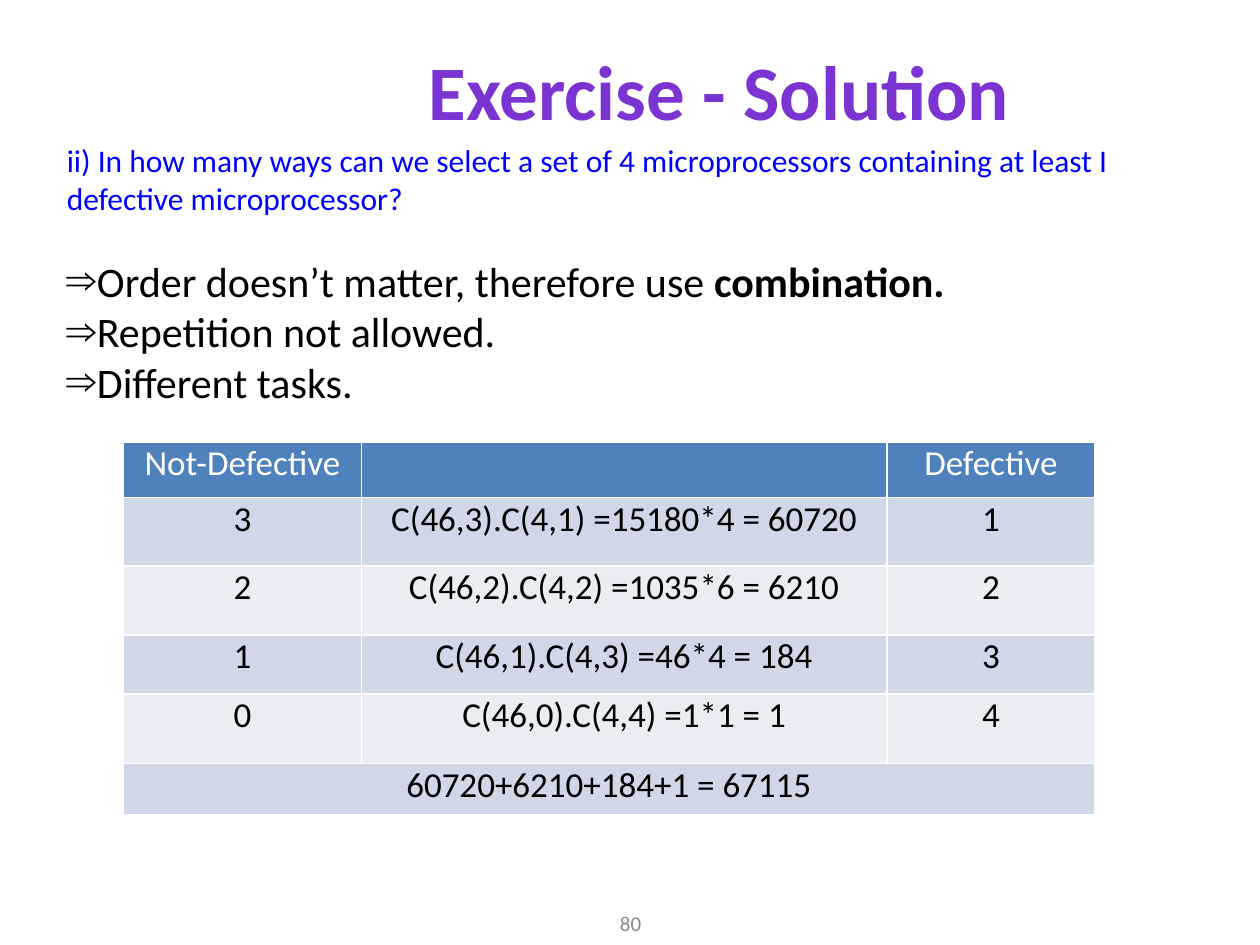
import lxml.etree
import pptx
import pptx.dml.color
import pptx.enum.text
import pptx.oxml.ns
import pptx.util

Inches = pptx.util.Inches
Pt = pptx.util.Pt
RGBColor = pptx.dml.color.RGBColor
PP_ALIGN = pptx.enum.text.PP_ALIGN
MSO_ANCHOR = pptx.enum.text.MSO_ANCHOR
MSO_AUTO_SIZE = pptx.enum.text.MSO_AUTO_SIZE

FONT = "Calibri"
PURPLE = RGBColor(0x7B, 0x34, 0xD2)
BLUE = RGBColor(0x00, 0x00, 0xFF)
BLACK = RGBColor(0x00, 0x00, 0x00)
WHITE = RGBColor(0xFF, 0xFF, 0xFF)
GRAY = RGBColor(0x89, 0x89, 0x89)
HEADER_FILL = RGBColor(0x4F, 0x81, 0xBD)
BAND_FILLS = (RGBColor(0xD0, 0xD8, 0xE8), RGBColor(0xE9, 0xED, 0xF4))

QUESTION = ("ii) In how many ways can we select a set of 4 microprocessors "
            "containing at least I defective microprocessor?")
# Each reason is a list of (text, bold) runs
REASONS = [
    [("Order doesn’t matter, therefore use ", False), ("combination.", True)],
    [("Repetition not allowed.", False)],
    [("Different tasks.", False)],
]
CASES = [
    ("Not-Defective", "", "Defective"),
    ("3", "C(46,3).C(4,1) =15180*4 = 60720", "1"),
    ("2", "C(46,2).C(4,2) =1035*6 = 6210", "2"),
    ("1", "C(46,1).C(4,3) =46*4 = 184", "3"),
    ("0", "C(46,0).C(4,4) =1*1 = 1", "4"),
    ("60720+6210+184+1 = 67115", "", ""),
]
COLUMN_WIDTHS = (1.89, 4.17, 1.65)
ROW_HEIGHTS = (0.43, 0.54, 0.55, 0.47, 0.55, 0.41)


def place(shape, box):
    shape.left, shape.top, shape.width, shape.height = map(Inches, box)


def style(paragraph, size, color, bold=None):
    font = paragraph.font
    font.name, font.size, font.bold = FONT, Pt(size), bold
    font.color.rgb = color


def set_bullet(paragraph, char=None):
    """Start the paragraph at the margin, with the given bullet or none."""
    properties = paragraph._p.get_or_add_pPr()
    properties.set("marL", "0")
    properties.set("indent", "0")
    tag = "a:buChar" if char else "a:buNone"
    bullet = lxml.etree.SubElement(properties, pptx.oxml.ns.qn(tag))
    if char:
        bullet.set("char", char)


def add_title(slide, box):
    title = slide.shapes.title
    place(title, box)
    frame = title.text_frame
    frame.text = "Exercise - Solution"
    frame.word_wrap = False
    frame.auto_size = MSO_AUTO_SIZE.NONE
    frame.paragraphs[0].alignment = PP_ALIGN.CENTER
    style(frame.paragraphs[0], 44, PURPLE, True)


def add_reasoning(slide, box):
    body = slide.placeholders[1]
    place(body, box)
    frame = body.text_frame
    frame.auto_size = MSO_AUTO_SIZE.NONE

    # Question
    question = frame.paragraphs[0]
    question.text = QUESTION
    question.space_before = Pt(0)
    set_bullet(question)
    style(question, 18, BLUE)

    # Reasons, set apart from the question by one line
    for index, runs in enumerate(REASONS):
        reason = frame.add_paragraph()
        reason.space_before = Pt(0 if index else 22)
        set_bullet(reason, "⇒")
        style(reason, 24, BLACK)
        for text, bold in runs:
            run = reason.add_run()
            run.text = text
            if bold:
                run.font.bold = True


def add_case_table(slide, left, top):
    box = (left, top, sum(COLUMN_WIDTHS), sum(ROW_HEIGHTS))
    table = slide.shapes.add_table(
        len(CASES), len(COLUMN_WIDTHS), *map(Inches, box)).table
    for column, width in zip(table.columns, COLUMN_WIDTHS):
        column.width = Inches(width)
    for row, height in zip(table.rows, ROW_HEIGHTS):
        row.height = Inches(height)

    for r, case in enumerate(CASES):
        for c, text in enumerate(case):
            cell = table.cell(r, c)
            cell.fill.solid()
            cell.fill.fore_color.rgb = BAND_FILLS[(r - 1) % 2] if r else HEADER_FILL
            cell.text = text
            paragraph = cell.text_frame.paragraphs[0]
            paragraph.alignment = PP_ALIGN.CENTER
            paragraph.line_spacing = 0.8
            style(paragraph, 20, BLACK if r else WHITE, False)

    # The total spans the last row
    last = len(CASES) - 1
    table.cell(last, 0).merge(table.cell(last, len(COLUMN_WIDTHS) - 1))


def add_page_number(slide, box):
    frame = slide.shapes.add_textbox(*map(Inches, box)).text_frame
    frame.word_wrap = True
    frame.vertical_anchor = MSO_ANCHOR.MIDDLE
    number = frame.paragraphs[0]
    number.text = "80"
    number.alignment = PP_ALIGN.CENTER
    style(number, 12, GRAY)


def main():
    deck = pptx.Presentation()
    deck.slide_width, deck.slide_height = Inches(10), Inches(7.5)
    slide = deck.slides.add_slide(deck.slide_layouts[1])
    add_title(slide, (3.27, 0.29, 4.88, 0.84))
    add_reasoning(slide, (0.43, 1.07, 9.37, 2.22))
    add_case_table(slide, 0.98, 3.51)
    add_page_number(slide, (3.42, 7.13, 3.17, 0.4))
    deck.save("out.pptx")


if __name__ == "__main__":
    main()
